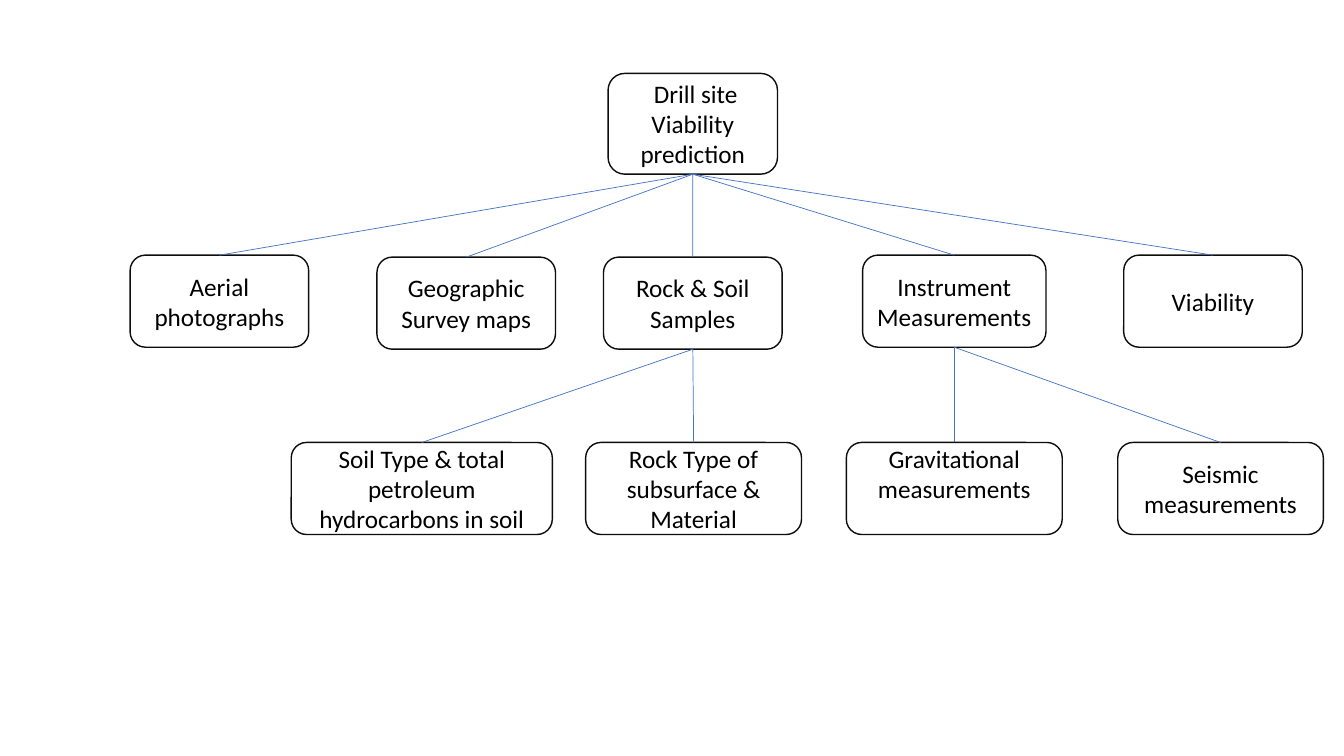
"""Build a slide with a tree of the inputs to drill site viability prediction."""
import pptx
import pptx.dml.color
import pptx.enum.shapes
import pptx.enum.text
import pptx.oxml
import pptx.util

Cm, Pt = pptx.util.Cm, pptx.util.Pt

ROOT = " Drill site Viability prediction"
SAMPLES = "Rock & Soil Samples"
INSTRUMENTS = "Instrument Measurements"
GRAVITY = "Gravitational measurements"

# text, parent, centre, top, width, height
NODES = [
    (ROOT, None, 17.46, 1.85, 4.27, 2.54),
    ("Aerial photographs", ROOT, 5.53, 6.43, 4.5, 2.32),
    ("Geographic Survey maps", ROOT, 11.75, 6.48, 4.5, 2.32),
    (SAMPLES, ROOT, 17.46, 6.48, 4.5, 2.32),
    (INSTRUMENTS, ROOT, 24.05, 6.43, 4.62, 2.32),
    ("Viability", ROOT, 30.57, 6.43, 4.5, 2.32),
    ("Soil Type & total petroleum hydrocarbons in soil", SAMPLES, 10.63, 11.15, 6.58, 2.32),
    ("Rock Type of subsurface & Material", SAMPLES, 17.48, 11.15, 5.44, 2.32),
    (GRAVITY, INSTRUMENTS, 24.05, 11.15, 5.44, 2.32),
    ("Seismic measurements", INSTRUMENTS, 30.76, 11.15, 5.18, 2.32),
]
BOTTOM_INSETS = {GRAVITY: 0.9}
FONT = {"name": "Calibri", "size": Pt(18)}
TOP_SITE, BOTTOM_SITE = 0, 2


def paint(colour_format, colour):
    """Set a colour from a hex string."""
    colour_format.rgb = pptx.dml.color.RGBColor.from_string(colour)


def add_node(slide, text, centre, top, width, height):
    """Add one rounded box with centred text."""
    node = slide.shapes.add_shape(
        pptx.enum.shapes.MSO_SHAPE.ROUNDED_RECTANGLE,
        Cm(centre - width / 2), Cm(top), Cm(width), Cm(height))
    node.shadow.inherit = False
    node.fill.solid()
    paint(node.fill.fore_color, "FFFFFF")
    paint(node.line.color, "0D0D0D")
    node.line.width = Pt(1)
    frame = node.text_frame
    frame.word_wrap = True
    frame.vertical_anchor = pptx.enum.text.MSO_ANCHOR.MIDDLE
    frame.margin_bottom = Cm(BOTTOM_INSETS.get(text, 0.13))
    paragraph = frame.paragraphs[0]
    paragraph.alignment = pptx.enum.text.PP_ALIGN.CENTER
    run = paragraph.add_run()
    run.text = text
    for attribute, value in FONT.items():
        setattr(run.font, attribute, value)
    paint(run.font.color, "000000")
    return node


def add_branch(slide, parent, child):
    """Join the bottom of a parent to the top of its child."""
    branch = slide.shapes.add_connector(pptx.enum.shapes.MSO_CONNECTOR.STRAIGHT, 0, 0, 0, 0)
    branch.begin_connect(parent, BOTTOM_SITE)
    branch.end_connect(child, TOP_SITE)
    paint(branch.line.color, "4472C4")
    branch.line.width = Pt(0.5)
    properties = branch._element.spPr
    properties.append(properties.makeelement(pptx.oxml.ns.qn("a:effectLst"), {}))


presentation = pptx.Presentation()
presentation.slide_width, presentation.slide_height = Cm(33.87), Cm(19.05)
slide = presentation.slides.add_slide(presentation.slide_layouts[6])

nodes = {}
for text, parent, *place in NODES:
    nodes[text] = add_node(slide, text, *place)
    if parent:
        add_branch(slide, nodes[parent], nodes[text])

presentation.save("out.pptx")
